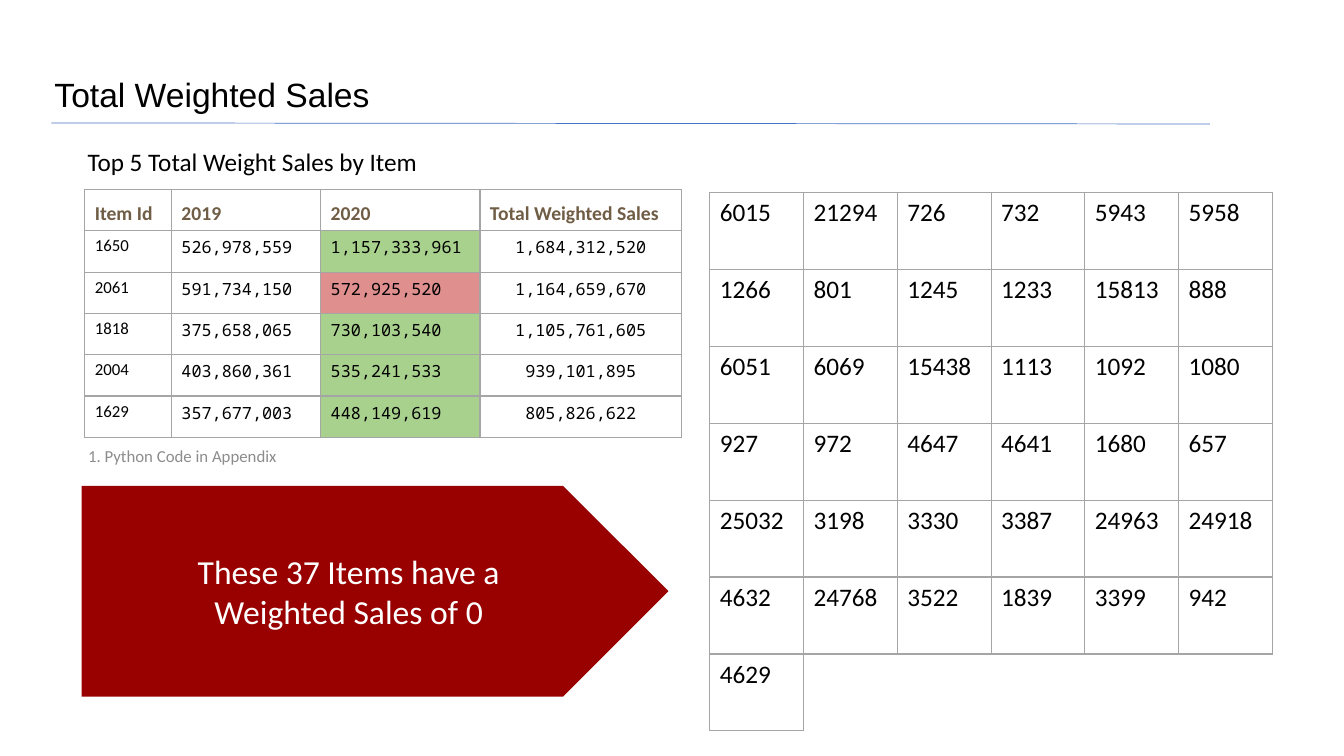
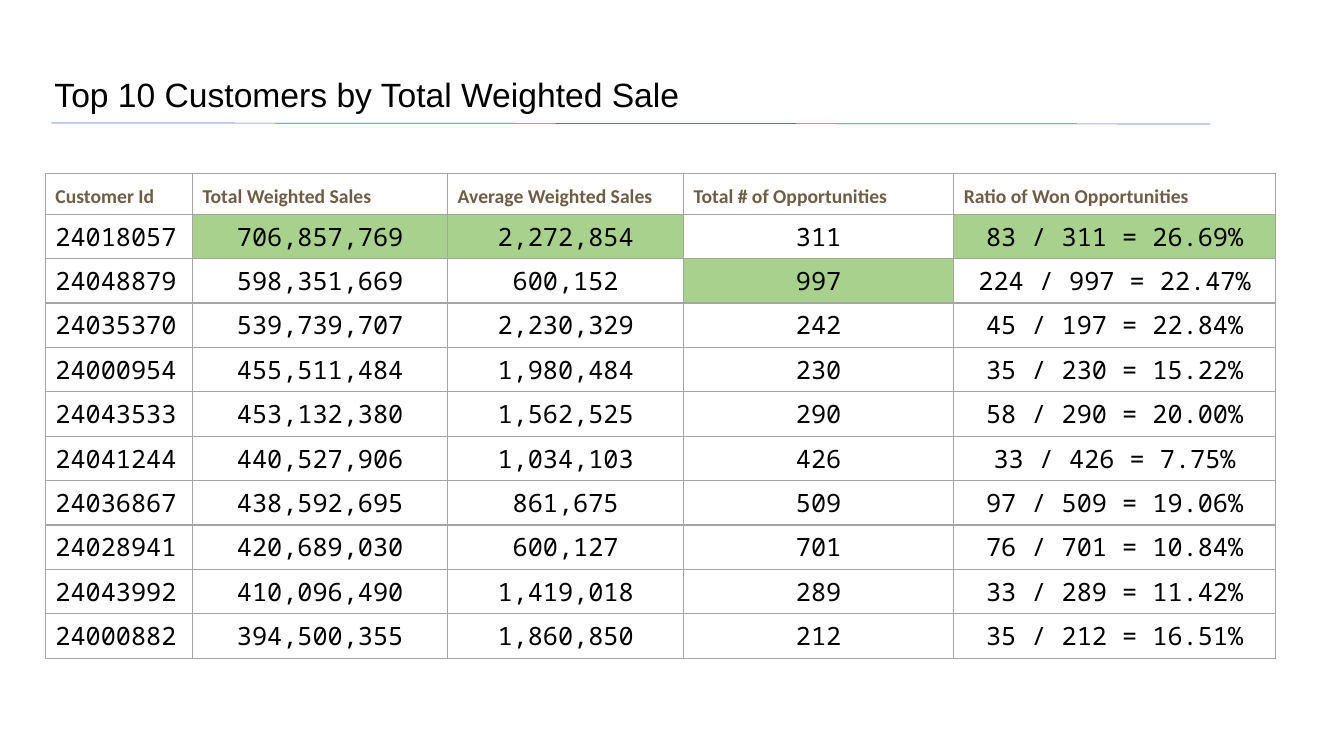
from dataclasses import dataclass, field
from typing import Optional

from lxml import etree
from pptx import Presentation
from pptx import util as u
from pptx.dml.color import RGBColor
from pptx.enum import shapes, text
from pptx.oxml.ns import qn

BLACK, WHITE, BROWN, GREY = "000000", "FFFFFF", "6F5D45", "8C8C8C"
BLUE, RED, GREEN, PINK, BORDER = "4472C4", "990000", "A9D18E", "E08F8F", "A5A5A5"
SANS, MONO, TITLE_FONT = "Calibri", "Noto Sans Mono", "Arial"
LEFT, CENTER = text.PP_ALIGN.LEFT, text.PP_ALIGN.CENTER
TOP, MIDDLE, BOTTOM = text.MSO_ANCHOR.TOP, text.MSO_ANCHOR.MIDDLE, text.MSO_ANCHOR.BOTTOM


@dataclass(frozen=True)
class Style:
    size: float
    name: str = SANS
    color: str = BLACK
    bold: bool = False
    align: text.PP_ALIGN = LEFT
    anchor: text.MSO_ANCHOR = TOP


@dataclass(frozen=True)
class Grid:
    """Table: one style per column, fills keyed by (row, column)."""
    left: float
    top: float
    widths: list[float]
    row_height: float
    rows: list[list[str]]
    styles: list[Style]
    header: Optional[Style] = None
    fills: dict[tuple[int, int], str] = field(default_factory=dict)


TITLE = Style(24, TITLE_FONT, anchor=MIDDLE)
HEADER = Style(14, color=BROWN, bold=True, anchor=BOTTOM)
BODY = Style(18)
SMALL, SMALL_MONO = Style(12), Style(12, MONO)
SMALL_CENTER = Style(12, MONO, align=CENTER)
LARGE_MONO, LARGE_CENTER = Style(18, MONO), Style(18, MONO, align=CENTER)
CALLOUT = Style(24, color=WHITE, align=CENTER, anchor=MIDDLE)
NOTE = Style(12, color=GREY, align=CENTER, anchor=MIDDLE)

TOP_ITEMS = Grid(
    0.84, 1.88, [0.86, 1.48, 1.58, 2], 0.41,
    [["Item Id", "2019", "2020", "Total Weighted Sales"],
     ["1650", "526,978,559", "1,157,333,961", "1,684,312,520"],
     ["2061", "591,734,150", "572,925,520", "1,164,659,670"],
     ["1818", "375,658,065", "730,103,540", "1,105,761,605"],
     ["2004", "403,860,361", "535,241,533", "939,101,895"],
     ["1629", "357,677,003", "448,149,619", "805,826,622"]],
    [SMALL, SMALL_MONO, SMALL_MONO, SMALL_CENTER], HEADER,
    {(row, 2): PINK if row == 2 else GREEN for row in range(1, 6)})

ZERO_ITEMS = Grid(
    7.04, 1.91, [0.93] * 6, 0.763,
    [["6015", "21294", "726", "732", "5943", "5958"],
     ["1266", "801", "1245", "1233", "15813", "888"],
     ["6051", "6069", "15438", "1113", "1092", "1080"],
     ["927", "972", "4647", "4641", "1680", "657"],
     ["25032", "3198", "3330", "3387", "24963", "24918"],
     ["4632", "24768", "3522", "1839", "3399", "942"],
     ["4629"] + [""] * 5],
    [BODY] * 6)

TOP_CUSTOMERS = Grid(
    0.45, 1.72, [1.46, 2.53, 2.34, 2.68, 3.19], 0.405,
    [["Customer Id", "Total Weighted Sales", "Average Weighted Sales",
      "Total # of Opportunities", "Ratio of Won Opportunities"],
     ["24018057", "706,857,769", "2,272,854", "311", "83 / 311 = 26.69%"],
     ["24048879", "598,351,669", "600,152", "997", "224 / 997 = 22.47%"],
     ["24035370", "539,739,707", "2,230,329", "242", "45 / 197 = 22.84%"],
     ["24000954", "455,511,484", "1,980,484", "230", "35 / 230 = 15.22%"],
     ["24043533", "453,132,380", "1,562,525", "290", "58 / 290 = 20.00%"],
     ["24041244", "440,527,906", "1,034,103", "426", "33 / 426 = 7.75%"],
     ["24036867", "438,592,695", "861,675", "509", "97 / 509 = 19.06%"],
     ["24028941", "420,689,030", "600,127", "701", "76 / 701 = 10.84%"],
     ["24043992", "410,096,490", "1,419,018", "289", "33 / 289 = 11.42%"],
     ["24000882", "394,500,355", "1,860,850", "212", "35 / 212 = 16.51%"]],
    [LARGE_MONO] + [LARGE_CENTER] * 4, HEADER,
    {(1, 1): GREEN, (1, 2): GREEN, (1, 4): GREEN, (2, 3): GREEN})


def rgb(color: str) -> RGBColor:
    return RGBColor.from_string(color)


def inches(*lengths: float) -> list[u.Length]:
    return [u.Inches(length) for length in lengths]


def write(tf, content: str, style: Style) -> None:
    """Fill a text frame, one paragraph per line of content."""
    tf.text = content
    font = {"size": u.Pt(style.size), "name": style.name, "bold": style.bold}
    for p in tf.paragraphs:
        p.alignment = style.align
        for r in p.runs:
            for key, value in font.items():
                setattr(r.font, key, value)
            r.font.color.rgb = rgb(style.color)


def add_text(s, content: str, style: Style, *box: float):
    sp = s.shapes.add_textbox(*inches(*box))
    tf = sp.text_frame
    tf.word_wrap, tf.vertical_anchor = True, style.anchor
    write(tf, content, style)
    return sp


def set_borders(cell, sides: str) -> None:
    """Draw the named sides (letters of LRTB) and hide the others."""
    tc_pr = cell._tc.get_or_add_tcPr()
    for side in "LRTB":
        ln = etree.SubElement(tc_pr, qn(f"a:ln{side}"), w=str(u.Pt(1)))
        if side in sides:
            fill = etree.SubElement(ln, qn("a:solidFill"))
            etree.SubElement(fill, qn("a:srgbClr"), val=BORDER)
        else:
            etree.SubElement(ln, qn("a:noFill"))


def add_grid(s, grid: Grid) -> None:
    n_rows = len(grid.rows)
    frame = s.shapes.add_table(n_rows, len(grid.widths), *inches(
        grid.left, grid.top, sum(grid.widths), n_rows * grid.row_height))
    table = frame.table
    table.first_row = table.horz_banding = False
    for column, width in zip(table.columns, grid.widths):
        column.width = u.Inches(width)
    for i, values in enumerate(grid.rows):
        table.rows[i].height = u.Inches(grid.row_height)
        for j, value in enumerate(values):
            cell = table.cell(i, j)
            style = grid.header if grid.header and i == 0 else grid.styles[j]
            write(cell.text_frame, value, style)
            cell.vertical_anchor = style.anchor
            after_value = j > 0 and values[j - 1]
            set_borders(cell, "LRTB" if value else "LT" if after_value else "T")
            if (i, j) in grid.fills:
                cell.fill.solid()
                cell.fill.fore_color.rgb = rgb(grid.fills[i, j])
            else:
                cell.fill.background()


def add_titled_slide(prs, title: str):
    """Add a slide with its title and the thin rule below it."""
    s = prs.slides.add_slide(prs.slide_layouts[5])
    sp = s.shapes.title
    sp.left, sp.top, sp.width, sp.height = inches(0.44, 0.42, 11.5, 1.08)
    tf = sp.text_frame
    tf.vertical_anchor, tf.auto_size = TITLE.anchor, text.MSO_AUTO_SIZE.NONE
    write(tf, title, TITLE)
    tf.paragraphs[0].line_spacing = 0.9
    rule = s.shapes.add_connector(shapes.MSO_CONNECTOR.STRAIGHT,
                                  *inches(0.51, 1.22, 12, 1.23))
    rule.line.color.rgb, rule.line.width = rgb(BLUE), u.Pt(0.5)
    etree.SubElement(rule._element.spPr, qn("a:effectLst"))
    return s


def add_callout(s, content: str, *box: float) -> None:
    sp = s.shapes.add_shape(shapes.MSO_SHAPE.PENTAGON, *inches(*box))
    sp.shadow.inherit = False
    sp.fill.solid()
    sp.fill.fore_color.rgb = rgb(RED)
    sp.line.fill.background()
    sp.text_frame.vertical_anchor = CALLOUT.anchor
    write(sp.text_frame, content, CALLOUT)


def add_item_slide(prs) -> None:
    s = add_titled_slide(prs, "Total Weighted Sales")
    add_grid(s, TOP_ITEMS)
    heading = add_text(s, "Top 5 Total Weight Sales by Item", BODY, 0.77, 1.4, 3.97, 0.4)
    heading.text_frame.auto_size = text.MSO_AUTO_SIZE.SHAPE_TO_FIT_TEXT
    add_grid(s, ZERO_ITEMS)
    add_callout(s, "These 37 Items have a\nWeighted Sales of 0", 0.81, 4.82, 5.82, 2.09)
    add_text(s, "1. Python Code in Appendix", NOTE, -0.44, 4.32, 4.5, 0.4)


def add_customer_slide(prs) -> None:
    s = add_titled_slide(prs, "Top 10 Customers by Total Weighted Sale")
    add_grid(s, TOP_CUSTOMERS)


def main() -> None:
    prs = Presentation()
    prs.slide_width, prs.slide_height = inches(13.33, 7.5)
    add_item_slide(prs)
    add_customer_slide(prs)
    prs.save("out.pptx")


if __name__ == "__main__":
    main()
